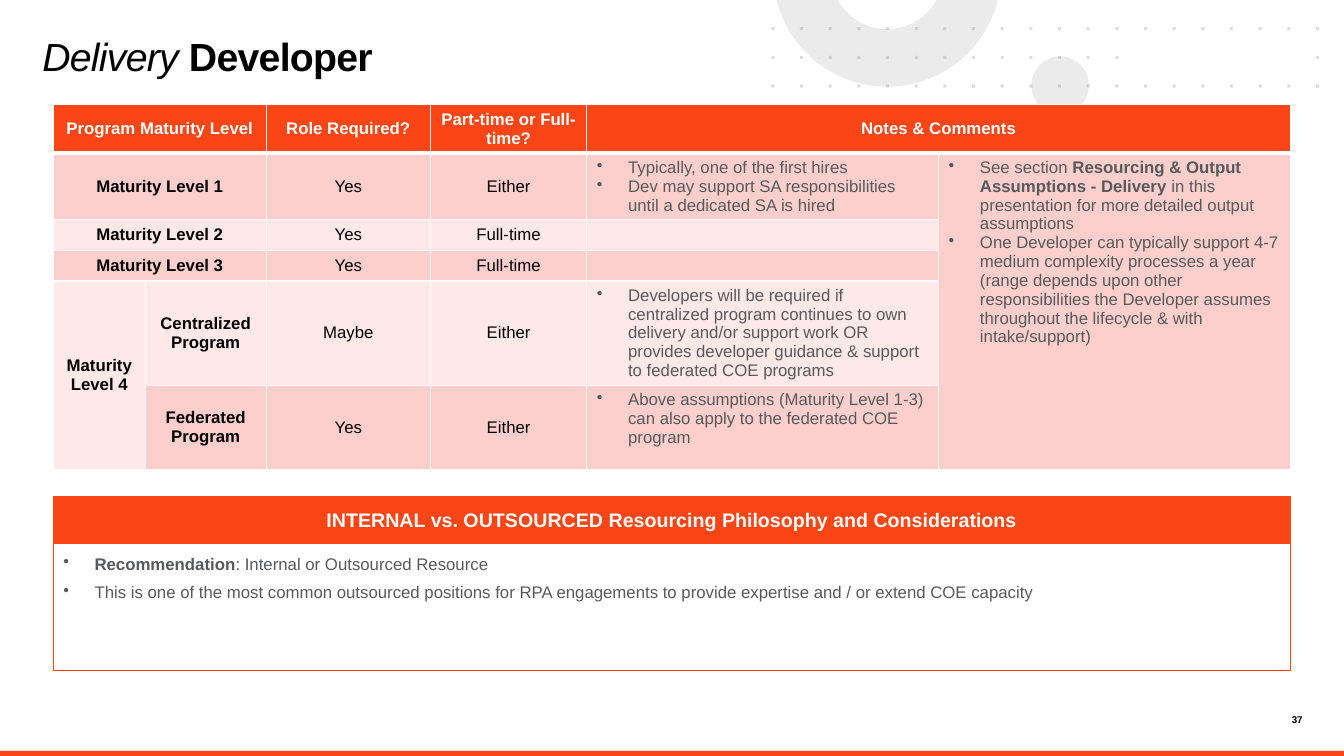
import math
from dataclasses import dataclass

import pptx
import pptx.dml.color
import pptx.enum.shapes
import pptx.enum.text
import pptx.oxml.ns
import pptx.util
from lxml import etree

Inches = pptx.util.Inches
Pt = pptx.util.Pt
qn = pptx.oxml.ns.qn
RGB = pptx.dml.color.RGBColor.from_string
Align = pptx.enum.text.PP_ALIGN
Anchor = pptx.enum.text.MSO_ANCHOR
Kind = pptx.enum.shapes.MSO_SHAPE


@dataclass(frozen=True)
class Theme:
    """Colours, font and type sizes."""
    font: str = "Arial"
    brand: str = "FA4616"
    rose: str = "FDCFCC"
    blush: str = "FEE9E8"
    white: str = "FFFFFF"
    black: str = "000000"
    gray: str = "58595B"
    pale: str = "D9D9D9"
    title: int = 28
    head: int = 14
    body: int = 12
    note: int = 7


T = Theme()
HEADS = {0: "Program Maturity Level", 2: "Role Required?",
         3: "Part-time or Full-time?", 4: "Notes & Comments"}
ROWS = [
    ("Maturity Level 1", "", "Yes", "Either",
     ["Typically, one of the first hires",
      "Dev may support SA responsibilities until a dedicated SA is hired"]),
    ("Maturity Level 2", "", "Yes", "Full-time", []),
    ("Maturity Level 3", "", "Yes", "Full-time", []),
    ("Maturity Level 4", "Centralized Program", "Maybe", "Either",
     ["Developers will be required if centralized program continues to own "
      "delivery and/or support work OR provides developer guidance & support "
      "to federated COE programs"]),
    ("", "Federated Program", "Yes", "Either",
     ["Above assumptions (Maturity Level 1-3) can also apply to the "
      "federated COE program"]),
]
ASIDE = [
    [("See section ", False),
     ("Resourcing & Output Assumptions - Delivery ", True),
     ("in this presentation for more detailed output assumptions", False)],
    "One Developer can typically support 4-7 medium complexity processes a "
    "year (range depends upon other responsibilities the Developer assumes "
    "throughout the lifecycle & with intake/support)",
]
ADVICE = [
    [("Recommendation", True), (": Internal or Outsourced Resource", False)],
    "This is one of the most common outsourced positions for RPA engagements "
    "to provide expertise and / or extend COE capacity",
]


def put(obj, vals):
    """Set attributes from a dict."""
    for key, val in vals.items():
        setattr(obj, key, val)


def write(frame, lines, size, color, bold=False, bullet=False, **para):
    """Fill a text frame with lines, each a string or a list of (text, bold)."""
    for i, line in enumerate(lines):
        par = frame.paragraphs[0] if i == 0 else frame.add_paragraph()
        if bullet:
            props = par._p.get_or_add_pPr()
            props.set("marL", str(Inches(0.31)))
            props.set("indent", str(Inches(-0.31)))
            etree.SubElement(props, qn("a:buChar"), char="•")
        put(par, para)
        for text, strong in [(line, bold)] if isinstance(line, str) else line:
            run = par.add_run()
            run.text = text
            put(run.font, {"name": T.font, "size": Pt(size), "bold": strong})
            run.font.color.rgb = RGB(color)


def inset(frame, gap, anchor=Anchor.TOP):
    """Give a text frame equal margins, wrapping and an anchor."""
    sides = ("left", "top", "right", "bottom")
    put(frame, {f"margin_{side}": Inches(gap) for side in sides})
    put(frame, {"word_wrap": True, "vertical_anchor": anchor,
                "auto_size": pptx.enum.text.MSO_AUTO_SIZE.NONE})


def paint(shape, color, alpha=None, line=None):
    """Set the fill, transparency and outline of a shape."""
    shape.shadow.inherit = False
    shape.fill.solid()
    shape.fill.fore_color.rgb = RGB(color)
    if alpha:
        tint = shape._element.spPr.find(qn("a:solidFill"))[0]
        etree.SubElement(tint, qn("a:alpha"), val=str(alpha * 1000))
    if line:
        shape.line.color.rgb = RGB(line)
        shape.line.width = Pt(0.75)
    else:
        shape.line.fill.background()


def block(slide, kind, box, color, **look):
    """Add a painted preset shape."""
    shape = slide.shapes.add_shape(kind, *map(Inches, box))
    paint(shape, color, **look)
    return shape


def trace(slide, loops, color, alpha):
    """Add one freeform made of closed loops given in inches."""
    loops = [[(Inches(x), Inches(y)) for x, y in loop] for loop in loops]
    pen = slide.shapes.build_freeform(*loops[0][0])
    for i, loop in enumerate(loops):
        if i:
            pen.move_to(*loop[0])
        pen.add_line_segments(loop[1:], close=True)
    paint(pen.convert_to_shape(), color, alpha)


def arc(x, y, rad):
    """Return points of the part of a circle that lies below the slide top."""
    start = math.asin(-y / rad)
    sweep = math.pi - 2 * start
    return [(x + rad * math.cos(start + sweep * i / 60),
             y + rad * math.sin(start + sweep * i / 60)) for i in range(61)]


def decor(slide, box):
    """Draw the disc, cut ring and dot grid in the top corner."""
    left, top, step, dot = *box, 0.2843, 0.03
    block(slide, Kind.OVAL, (left + 2.58, top + 0.29, 0.57, 0.57), T.pale, alpha=50)
    hub = (left + 1.15, -0.27)
    trace(slide, [arc(*hub, 1.13) + arc(*hub, 0.56)[::-1]], T.pale, 50)
    dots = []
    for row in range(3):
        for col in range(20):
            if row != 1 or not 13 <= col <= 18:
                x, y = left + col * step, top + row * step
                dots.append([(x, y), (x + dot, y), (x + dot, y + dot), (x, y + dot)])
    trace(slide, dots, T.gray, 20)


def heading(slide, box):
    """Place and format the title."""
    title = slide.shapes.title
    put(title, dict(zip(("left", "top", "width", "height"), map(Inches, box))))
    inset(title.text_frame, 0)
    write(title.text_frame, [[("Delivery ", False), ("Developer", True)]],
          T.title, T.black, alignment=Align.LEFT, line_spacing=0.85)
    runs = title.text_frame.paragraphs[0].runs
    runs[0].font.italic = True
    for run in runs:
        run.font._element.set("spc", "-50")


def dress(cell, color, base):
    """Set the borders and fill of a table cell."""
    props = cell._tc.get_or_add_tcPr()
    for side in ("lnL", "lnR", "lnT", "lnB"):
        width = Pt(base if side == "lnB" else 1)
        line = etree.SubElement(props, qn(f"a:{side}"), w=str(width))
        fill = etree.SubElement(line, qn("a:solidFill"))
        etree.SubElement(fill, qn("a:srgbClr"), val=T.white)
    cell.fill.solid()
    cell.fill.fore_color.rgb = RGB(color)


def matrix(slide, box):
    """Build the maturity table."""
    table = slide.shapes.add_table(6, 6, *map(Inches, box)).table
    put(table, {"first_row": False, "horz_banding": False})
    for col, width in zip(table.columns, (0.91, 1.2, 1.63, 1.55, 3.49, 3.49)):
        col.width = Inches(width)
    for row, height in zip(table.rows, (0.48, 0.65, 0.29, 0.29, 1.03, 0.84)):
        row.height = Inches(height)
    for r in range(6):
        for c in range(6):
            color = T.brand if r == 0 else T.rose if r % 2 or c == 5 else T.blush
            if (r, c) == (5, 0):
                color = T.blush
            dress(table.cell(r, c), color, 3 if r == 0 else 1)
    for r, c, down, across in ((0, 0, 0, 1), (0, 4, 0, 1), (1, 0, 0, 1), (2, 0, 0, 1),
                               (3, 0, 0, 1), (4, 0, 1, 0), (1, 5, 4, 0)):
        table.cell(r, c).merge(table.cell(r + down, c + across))

    def label(r, c, text, color, bold):
        cell = table.cell(r, c)
        cell.vertical_anchor = Anchor.MIDDLE
        write(cell.text_frame, [text], T.body, color, bold, alignment=Align.CENTER)

    for c, text in HEADS.items():
        label(0, c, text, T.white, True)
    for r, (*names, notes) in enumerate(ROWS, 1):
        for c, text in enumerate(names):
            if text:
                label(r, c, text, T.black, c < 2)
        write(table.cell(r, 4).text_frame, notes, T.body, T.gray, bullet=True)
    write(table.cell(1, 5).text_frame, ASIDE, T.body, T.gray, bullet=True)
    for par in table._tbl.iter(qn("a:p")):
        if par.find(qn("a:r")) is None:
            etree.SubElement(par, qn("a:endParaRPr"), sz=str(T.body * 100))


def panel(slide, box):
    """Draw the resourcing panel with its heading band."""
    left, top, width, height = box
    band = 0.46
    body = block(slide, Kind.RECTANGLE, (left, top + band, width, height - band),
                 T.white, line=T.brand)
    inset(body.text_frame, 0.1)
    write(body.text_frame, ADVICE, T.body, T.gray, bullet=True,
          alignment=Align.LEFT, space_after=Pt(6))
    head = block(slide, Kind.RECTANGLE, (left, top, width, band), T.brand, line=T.brand)
    inset(head.text_frame, 0.1, Anchor.MIDDLE)
    write(head.text_frame,
          ["INTERNAL vs. OUTSOURCED Resourcing Philosophy and Considerations"],
          T.head, T.white, True, alignment=Align.CENTER)


def footer(slide, box):
    """Draw the bottom bar and the page number."""
    left, top, width, height = box
    block(slide, Kind.RECTANGLE, box, T.brand)
    page = slide.shapes.add_textbox(
        *map(Inches, (left + width - 0.8, top - 0.37, 0.39, 0.13)))
    inset(page.text_frame, 0)
    write(page.text_frame, ["37"], T.note, T.black, True, alignment=Align.RIGHT)


def main():
    """Build and save the slide."""
    deck = pptx.Presentation()
    put(deck, {"slide_width": Inches(13.33), "slide_height": Inches(7.5)})
    slide = deck.slides.add_slide(deck.slide_layouts[5])
    footer(slide, (0, 7.45, 13.33, 0.05))
    decor(slide, (7.65, 0.27))
    heading(slide, (0.42, 0.39, 7.23, 0.75))
    matrix(slide, (0.53, 1.04, 12.27, 3.58))
    panel(slide, (0.53, 4.93, 12.27, 1.72))
    deck.save("out.pptx")


if __name__ == "__main__":
    main()
